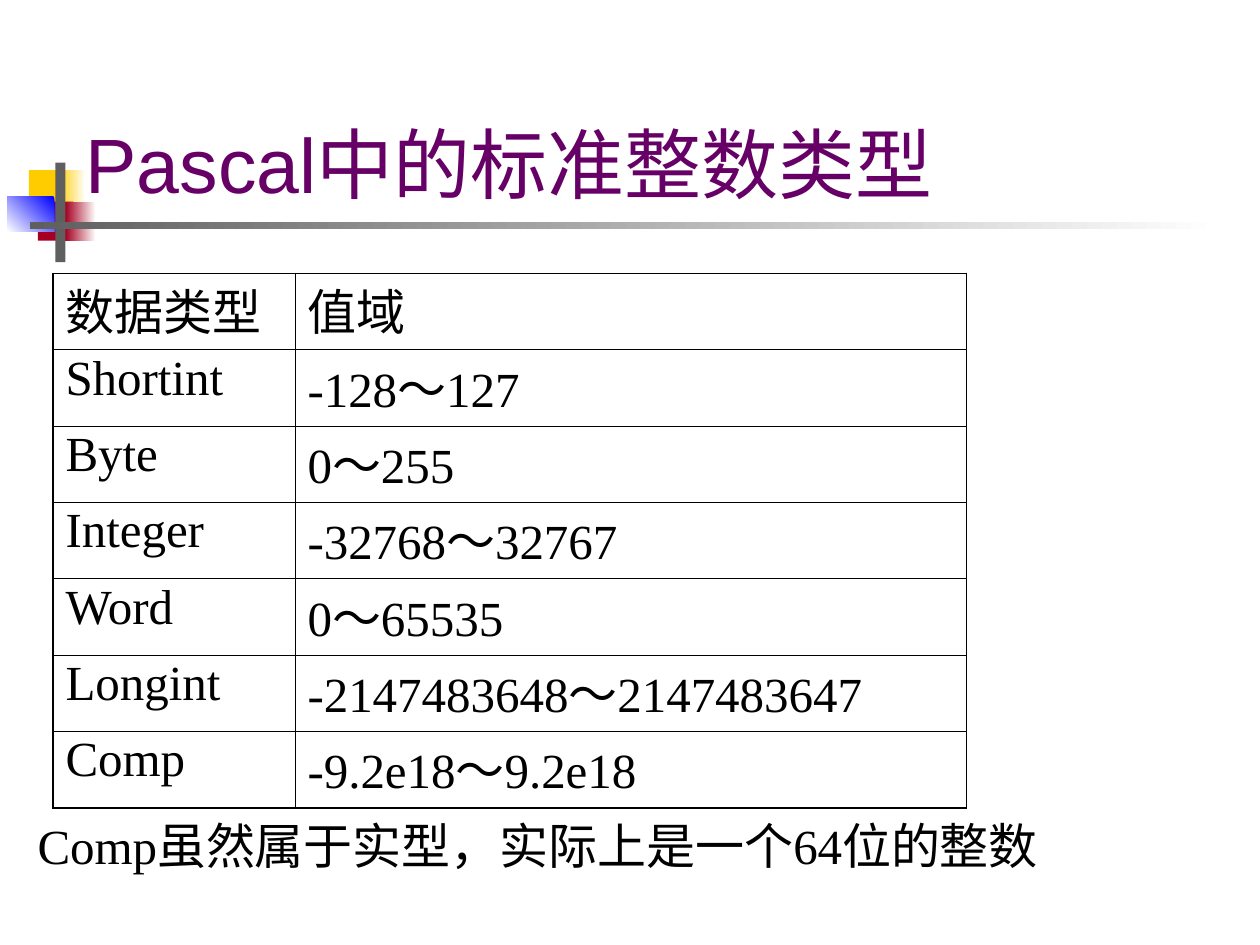
from lxml import etree
from pptx import Presentation
from pptx.dml.color import RGBColor
from pptx.enum.shapes import MSO_SHAPE
from pptx.enum.text import MSO_ANCHOR, MSO_AUTO_SIZE, PP_ALIGN
from pptx.oxml.ns import qn
from pptx.util import Inches, Pt

RECT = MSO_SHAPE.RECTANGLE
MIDDLE = MSO_ANCHOR.MIDDLE
FIXED = MSO_AUTO_SIZE.NONE
GROW = MSO_AUTO_SIZE.SHAPE_TO_FIT_TEXT
LEFT = PP_ALIGN.LEFT

COLS, ROWS = 100, 75
UNIT = 0.1
SERIF = "Times New Roman"
BLACK = "000000"
THICK, THIN = 1.08, 0.45

MARKS = [
    ((1.7, 0.6, 2.9, 3.1), ["FFCC00"], 0),
    ((4, 0.6, 2.2, 3.1), ["FFFFFF", "FFCC00"], 180),
    ((2.4, 3.1, 2.8, 3.1), ["A50021"], 0),
    ((4.6, 3.1, 2.4, 3.1), ["FFFFFF", "A50021"], 180),
    ((0, 2.7, 3.7, 2.8), ["0000FF", "FFFFFF"], 225),
    ((3.8, 0, 0.8, 7.9), ["5F5F5F"], 0),
    ((1.8, 4.7, 94.5, 0.6), ["FFFFFF", "5F5F5F"], 180),
]
TYPES = [
    ("数据类型", "值域"),
    ("Shortint", "-128～127"),
    ("Byte", "0～255"),
    ("Integer", "-32768～32767"),
    ("Word", "0～65535"),
    ("Longint", "-2147483648～2147483647"),
    ("Comp", "-9.2e18～9.2e18"),
]


def color(code):
    return RGBColor.from_string(code)


def span(*box):
    return [Inches(n * UNIT) for n in box]


def write(para, text, size, font, code):
    para.alignment = LEFT
    run = para.add_run()
    run.text = text
    run.font.size = Pt(size)
    run.font.name = font
    run.font.color.rgb = color(code)


def draw_marks(slide, box):
    for (left, top, wide, high), tints, angle in MARKS:
        place = span(box[0] + left, box[1] + top, wide, high)
        mark = slide.shapes.add_shape(RECT, *place)
        mark.shadow.inherit = False
        mark.line.fill.background()
        if len(tints) == 1:
            mark.fill.solid()
            mark.fill.fore_color.rgb = color(tints[0])
        else:
            mark.fill.gradient()
            mark.fill.gradient_angle = angle
            for stop, tint in zip(mark.fill.gradient_stops, tints):
                stop.color.rgb = color(tint)


def set_title(slide, box):
    title = slide.shapes.title
    title.left, title.top, title.width, title.height = span(*box)
    frame = title.text_frame
    frame.word_wrap = True
    frame.auto_size = FIXED
    frame.vertical_anchor = MIDDLE
    write(frame.paragraphs[0], "Pascal中的标准整数类型", 44, "Arial", "660066")
    slide.shapes.element.append(title.element)


def add_edge(cell, side, width):
    props = cell._tc.get_or_add_tcPr()
    edge = etree.SubElement(props, qn("a:" + side), w=str(Pt(width)))
    fill = etree.SubElement(edge, qn("a:solidFill"))
    etree.SubElement(fill, qn("a:srgbClr"), val=BLACK)


def add_types(slide, box):
    count = len(TYPES)
    table = slide.shapes.add_table(count, 2, *span(*box)).table
    table.first_row = table.horz_banding = False
    for col, share in zip(table.columns, (0.265, 0.735)):
        col.width = Inches(box[2] * UNIT * share)
    for r, texts in enumerate(TYPES):
        table.rows[r].height = Inches(box[3] * UNIT / count)
        for c, text in enumerate(texts):
            cell = table.cell(r, c)
            outer = {"lnL": c == 0, "lnR": c == 1,
                     "lnT": r == 0, "lnB": r == count - 1}
            for side, rim in outer.items():
                add_edge(cell, side, THICK if rim else THIN)
            cell.fill.background()
            para = cell.text_frame.paragraphs[0]
            para.line_spacing = 0.9
            para.space_before = Pt(7)
            write(para, text, 28, SERIF, BLACK)


def add_note(slide, box):
    frame = slide.shapes.add_textbox(*span(*box)).text_frame
    frame.word_wrap = True
    frame.auto_size = GROW
    para = frame.paragraphs[0]
    para.space_before = Pt(17.5)
    write(para, "Comp虽然属于实型，实际上是一个64位的整数", 28, SERIF, BLACK)


def main():
    deck = Presentation()
    deck.slide_width, deck.slide_height = span(COLS, ROWS)
    slide = deck.slides.add_slide(deck.slide_layouts[5])
    draw_marks(slide, (0.6, 12.9))
    set_title(slide, (5.8, 6.7, 88.4, 12.5))
    add_types(slide, (4.2, 21.7, 72.5, 42.4))
    add_note(slide, (2, 64.2, 83.3, 10.4))
    deck.save("out.pptx")


if __name__ == "__main__":
    main()
